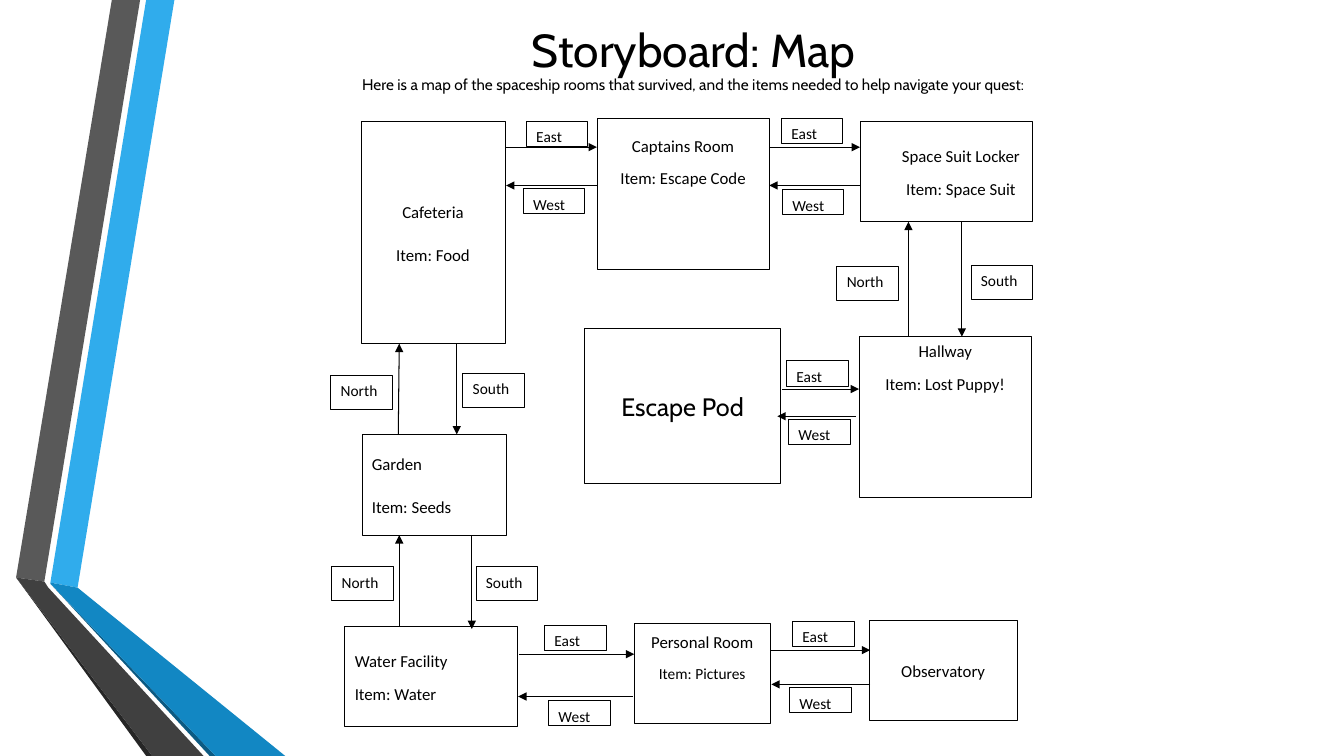
"""Builds the spaceship storyboard map slide."""
from lxml import etree
from pptx import Presentation
from pptx import util as u
from pptx.dml.color import RGBColor
from pptx.enum import shapes, text
from pptx.oxml.ns import qn

COLOURS = {
    "ink": "000000", "paper": "FFFFFF",
    "sky": "30ACEC", "blue": "1287C3", "navy": "0C5A82",
    "grey": "595959", "charcoal": "404040", "soot": "262626",
}

RIBBONS = [
    ("sky", [(0.5, 5.78), (0.77, 5.83), (1.73, 0), (1.45, 0)]),
    ("grey", [(1.39, 0), (1.11, 0), (0.16, 5.73), (0.44, 5.77)]),
    ("soot", [(0.16, 5.73), (1.45, 7.5), (1.51, 7.5)]),
    ("navy", [(0.5, 5.79), (2.08, 7.5), (2.14, 7.5)]),
    ("blue", [(0.5, 5.79), (2.14, 7.5), (2.83, 7.5), (0.77, 5.83), (0.5, 5.78)]),
    ("charcoal", [(2.02, 7.5), (0.48, 5.83), (0.44, 5.77), (0.16, 5.73), (1.51, 7.5)]),
]

ROOMS = [
    (["Cafeteria", "Item: Food"], (3.58, 1.2, 1.43, 2.21), {"gap": 15}),
    (["Captains Room", "Item: Escape Code"], (5.92, 1.17, 1.71, 1.5), {"top": 0.16}),
    (["Space Suit Locker", "Item: Space Suit"], (8.53, 1.2, 1.71, 1), {"left": 0.39}),
    (["Hallway", "Item: Lost Puppy!"], (8.52, 3.34, 1.71, 1.59), {"top": 0.03}),
    (["Garden", "Item: Seeds"], (3.59, 4.31, 1.43, 1), {"gap": 15, "centred": False}),
    (["Water Facility", "Item: Water"], (3.42, 6.21, 1.71, 1), {"centred": False}),
    (["Personal Room", "Item: Pictures"], (6.29, 6.18, 1.35, 1),
     {"top": 0.07, "sizes": (12, 11)}),
    (["Observatory"], (8.62, 6.15, 1.47, 1), {}),
    (["Escape Pod"], (5.8, 3.26, 1.94, 1.54),
     {"sizes": (18,), "font": "Cabin", "spacing": 1}),
]

PASSAGES = [
    ("East", (5.01, 1.46, 5.92, 1.46), (5.22, 1.2)),
    ("West", (5.92, 1.84, 5.02, 1.84), (5.19, 1.87)),
    ("East", (7.64, 1.46, 8.53, 1.46), (7.75, 1.17)),
    ("West", (8.53, 1.84, 7.63, 1.84), (7.76, 1.88)),
    ("North", (9.01, 3.34, 9.01, 2.2), (8.3, 2.64)),
    ("South", (9.54, 2.2, 9.54, 3.34), (9.63, 2.63)),
    ("East", (7.76, 3.86, 8.52, 3.86), (7.8, 3.58)),
    ("West", (8.49, 4.13, 7.71, 4.13), (7.82, 4.16)),
    ("North", (3.95, 4.31, 3.96, 3.41), (3.28, 3.72)),
    ("South", (4.53, 3.41, 4.53, 4.31), (4.59, 3.7)),
    ("North", (3.96, 6.22, 3.96, 5.31), (3.29, 5.62)),
    ("South", (4.68, 5.31, 4.68, 6.24), (4.72, 5.62)),
    ("East", (5.15, 6.49, 6.29, 6.49), (5.4, 6.2)),
    ("West", (6.28, 6.91, 5.14, 6.91), (5.44, 6.95)),
    ("East", (7.65, 6.45, 8.63, 6.45), (7.86, 6.16)),
    ("West", (8.63, 6.79, 7.65, 6.79), (7.83, 6.82)),
]


def colour(name):
    return RGBColor.from_string(COLOURS[name])


def style_span(span, size, font):
    span.font.size = u.Pt(size)
    span.font.name = font
    span.font.color.rgb = colour("ink")


def add_ribbon(page, fill, points):
    corners = [(u.Inches(x), u.Inches(y)) for x, y in points]
    builder = page.shapes.build_freeform(*corners[0])
    builder.add_line_segments(corners[1:], close=True)
    ribbon = builder.convert_to_shape()
    ribbon.shadow.inherit = False
    ribbon.fill.solid()
    ribbon.fill.fore_color.rgb = colour(fill)
    ribbon.line.fill.background()


def add_title(page, heading, subtitle):
    title = page.shapes.title
    title.left, title.top, title.width, title.height = map(
        u.Inches, (2.53, 0.01, 8.7, 1.18))
    frame = title.text_frame
    frame.text = f"{heading}\v{subtitle}"
    frame.auto_size = text.MSO_AUTO_SIZE.NONE
    frame.vertical_anchor = text.MSO_ANCHOR.MIDDLE
    para = frame.paragraphs[0]
    para.alignment = text.PP_ALIGN.CENTER
    para.line_spacing = 0.9
    for span, size in zip(para.runs, (33, 11)):
        style_span(span, size, "Cabin")


def add_box(page, lines, place, sizes=(12, 12), font="Calibri", centred=True,
            anchor=text.MSO_ANCHOR.MIDDLE, top=None, left=0.1, gap=8, spacing=1.07):
    box = page.shapes.add_shape(shapes.MSO_SHAPE.RECTANGLE, *map(u.Inches, place))
    box.shadow.inherit = False
    box.fill.solid()
    box.fill.fore_color.rgb = colour("paper")
    box.line.color.rgb = colour("ink")
    box.line.width = u.Pt(0.5)
    frame = box.text_frame
    frame.word_wrap = True
    frame.text = "\n".join(lines)
    frame.margin_left = u.Inches(left)
    frame.vertical_anchor = anchor
    if top is not None:
        frame.vertical_anchor = text.MSO_ANCHOR.TOP
        frame.margin_top = u.Inches(top)
    for para, size in zip(frame.paragraphs, sizes):
        para.alignment = text.PP_ALIGN.CENTER if centred else text.PP_ALIGN.LEFT
        para.line_spacing = spacing
        para.space_after = u.Pt(gap)
        style_span(para.runs[0], size, font)


def add_arrow(page, ends):
    arrow = page.shapes.add_connector(
        shapes.MSO_CONNECTOR.STRAIGHT, *map(u.Inches, ends))
    arrow.line.color.rgb = colour("ink")
    arrow.line.width = u.Pt(0.75)
    etree.SubElement(arrow.line._get_or_add_ln(), qn("a:tailEnd"), type="triangle")
    etree.SubElement(arrow._element.spPr, qn("a:effectLst"))


def add_passage(page, direction, ends, corner):
    add_arrow(page, ends)
    height = 0.25 if direction in ("East", "West") else 0.34
    add_box(page, [direction], (*corner, 0.61, height), sizes=(11,),
            centred=False, anchor=text.MSO_ANCHOR.TOP)


def main():
    deck = Presentation()
    deck.slide_width, deck.slide_height = u.Inches(13.33), u.Inches(7.5)
    page = deck.slides.add_slide(deck.slide_layouts.get_by_name("Title Only"))
    for fill, points in RIBBONS:
        add_ribbon(page, fill, points)
    add_title(page, "Storyboard: Map",
              "Here is a map of the spaceship rooms that survived, "
              "and the items needed to help navigate your quest:")
    for lines, place, options in ROOMS:
        add_box(page, lines, place, **options)
    for direction, ends, corner in PASSAGES:
        add_passage(page, direction, ends, corner)
    deck.save("out.pptx")


if __name__ == "__main__":
    main()
